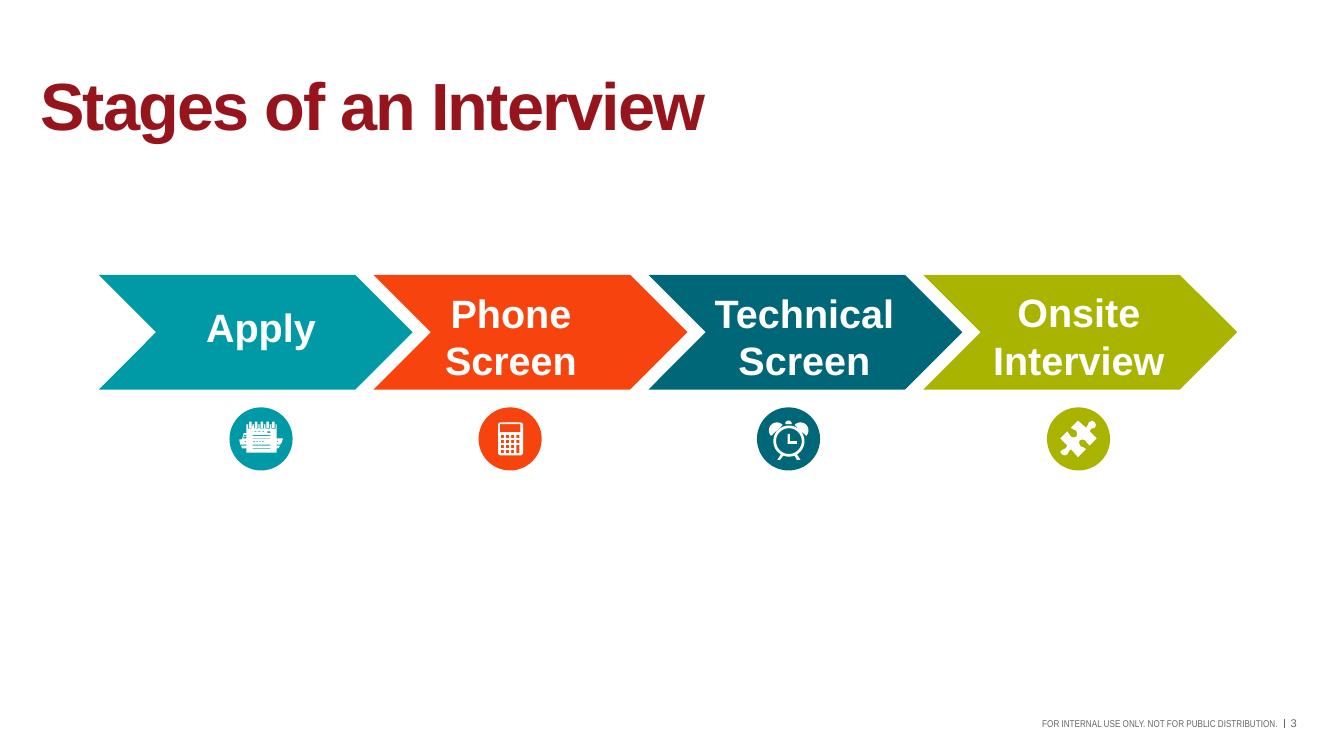
from dataclasses import dataclass
from math import cos, radians, sin

from lxml import etree
from pptx import Presentation
from pptx.dml.color import RGBColor
from pptx.enum.shapes import MSO_CONNECTOR, MSO_SHAPE
from pptx.enum.text import MSO_ANCHOR, MSO_AUTO_SIZE, PP_ALIGN
from pptx.oxml.ns import qn
from pptx.util import Pt

CHEVRON, OVAL = MSO_SHAPE.CHEVRON, MSO_SHAPE.OVAL
STRAIGHT = MSO_CONNECTOR.STRAIGHT
LEFT, CENTER, RIGHT = PP_ALIGN.LEFT, PP_ALIGN.CENTER, PP_ALIGN.RIGHT
TOP, MIDDLE, BOTTOM = MSO_ANCHOR.TOP, MSO_ANCHOR.MIDDLE, MSO_ANCHOR.BOTTOM
NO_AUTOFIT = MSO_AUTO_SIZE.NONE
EMU_PER_PX = 9144
WHITE, GRAY, MAROON = "FFFFFF", "666666", "96151D"
CHEVRON_LEFT, CHEVRON_TOP, CHEVRON_PITCH = 111, 309, 309
CHEVRON_WIDTH, CHEVRON_HEIGHT = 353, 129
BADGE_TOP, BADGE_SIZE = 458, 71

Points = list[tuple[float, float]]
Icon = list[Points]


@dataclass
class Stage:
    label: str
    color: str
    label_box: tuple[int, int, int, int]
    badge_left: int
    icons: list[Icon]


def px(value: float) -> int:
    return round(value * EMU_PER_PX)


def rgb(color: str) -> RGBColor:
    return RGBColor.from_string(color)


def rect(x: float, y: float, w: float, h: float) -> Points:
    return [(x, y), (x + w, y), (x + w, y + h), (x, y + h)]


def arc(cx: float, cy: float, radius: float, start: int, end: int) -> Points:
    steps = max(4, (end - start) // 8)
    angles = [radians(start + (end - start) * i / steps) for i in range(steps + 1)]
    return [(cx + radius * cos(a), cy + radius * sin(a)) for a in angles]


def notepad() -> Icon:
    rings = [279 + 6.5 * i for i in range(5)]
    return [
        rect(277, 477, 34, 32),
        *[rect(284, 485 + 3.6 * i, 20, 1.8) for i in range(6)],
        *[rect(x, 477, 5, 5) for x in rings],
        *[rect(x + 1.1, 474, 2.8, 7) for x in rings],
    ]


def ship() -> Icon:
    hull = [(287, 479), (288, 479), (288, 482), (299, 482), (301, 487), (305, 487),
            (310, 493), (318, 493), (317, 497), (315, 500), (270, 500), (269, 494),
            (272, 494), (274, 487), (279, 487), (280, 482), (283, 482), (283, 479),
            (285, 479), (285, 482), (286, 482)]
    portholes = [275 + 3.3 * i for i in range(12) if i not in (7, 8)]
    return [
        hull,
        [(271, 501), (315, 501), (313, 504), (272, 504)],
        [(274, 491), (307, 491), (308, 493), (273, 493)],
        rect(274, 489, 31, 1),
        *[rect(x, 496, 1.5, 1) for x in portholes],
        *[rect(282 + 4.3 * i, 484, 2, 2) for i in range(4)],
    ]


def calculator() -> Icon:
    body = [*arc(563, 478, 3, 180, 270), *arc(585, 478, 3, 270, 360),
            *arc(585, 509, 3, 0, 90), *arc(563, 509, 3, 90, 180)]
    keys = [rect(563 + 5.8 * col, 489 + 5.6 * row, 3.5, 3.7)
            for row in range(4) for col in range(4 if row < 2 else 3)]
    return [body, rect(562, 477, 23, 9), *keys, rect(580.4, 500.2, 3.5, 9.3)]


def alarm_clock() -> Icon:
    case = [*arc(887, 496, 17.5, 121, 419), (900, 517), (896, 517),
            *arc(887, 496, 17.5, 69, 111), (877, 517), (874, 517)]
    hands = [(885.5, 488), (888, 488), (888, 496), (896, 496), (896, 499), (885.5, 499)]
    return [
        case,
        arc(887, 496, 14.5, 0, 360),
        hands,
        arc(873.5, 484, 9, 137, 317),
        arc(900, 484, 9, 223, 403),
        [(883, 477), (883, 475), (885, 473), (888, 473), (890, 475), (890, 477)],
    ]


def puzzle() -> Icon:
    return [[
        (1231, 475), (1232, 478), (1231, 481), (1227, 482), (1225, 485), (1233, 493),
        (1225, 501), (1222, 498), (1220, 495), (1217, 494), (1214, 495), (1213, 498),
        (1215, 502), (1218, 503), (1221, 505), (1212, 514), (1204, 505), (1202, 507),
        (1200, 511), (1197, 512), (1194, 511), (1192, 508), (1194, 506), (1198, 504),
        (1200, 501), (1192, 493), (1200, 485), (1202, 488), (1204, 491), (1207, 492),
        (1210, 491), (1211, 488), (1210, 484), (1207, 483), (1204, 481), (1212, 473),
        (1221, 481), (1223, 478), (1224, 475), (1228, 473),
    ]]


STAGES = [
    Stage("Apply", "009AA6", (200, 336, 187, 64), 258, [notepad(), ship()]),
    Stage("Phone Screen", "F7440E", (464, 320, 221, 118), 538, [calculator()]),
    Stage("Technical Screen", "006778", (741, 320, 327, 118), 851, [alarm_clock()]),
    Stage("Onsite Interview", "A8B400", (1070, 319, 286, 118), 1177, [puzzle()]),
]


def paint(s, color: str) -> None:
    s.shadow.inherit = False
    s.fill.solid()
    s.fill.fore_color.rgb = rgb(color)
    s.line.fill.background()


def add_shape(shapes, kind, x: int, y: int, w: int, h: int, color: str) -> None:
    paint(shapes.add_shape(kind, px(x), px(y), px(w), px(h)), color)


def add_icon(shapes, icon: Icon) -> None:
    contours = [[(px(x), px(y)) for x, y in points] for points in icon]
    builder = shapes.build_freeform(*contours[0][0])
    for i, points in enumerate(contours):
        if i:
            builder.move_to(*points[0])
        builder.add_line_segments(points[1:], close=True)
    paint(builder.convert_to_shape(), WHITE)


def write(tf, text: str, *, size: int, color: str, font: str = "Arial", bold: bool = False,
          align=LEFT, anchor=TOP, wrap: bool = True, inset: bool = True,
          line_spacing: float = 1.0, tracking: int = 0) -> None:
    tf.auto_size = NO_AUTOFIT
    tf.word_wrap = wrap
    tf.vertical_anchor = anchor
    tf.margin_left = tf.margin_right = px(10 if inset else 0)
    tf.margin_top = tf.margin_bottom = px(5 if inset else 0)
    p = tf.paragraphs[0]
    p.alignment = align
    p.line_spacing = line_spacing
    p.space_before = Pt(0)
    r = p.add_run()
    r.text = text
    r.font.name, r.font.size, r.font.bold = font, Pt(size), bold
    r.font.color.rgb = rgb(color)
    if tracking:
        r._r.get_or_add_rPr().set("spc", str(tracking))


def add_text(shapes, box: tuple[int, int, int, int], text: str, **style) -> None:
    write(shapes.add_textbox(*map(px, box)).text_frame, text, **style)


def add_footer(shapes) -> None:
    add_text(shapes, (935, 807, 502, 13), "FOR INTERNAL USE ONLY. NOT FOR PUBLIC DISTRIBUTION.",
             size=8, color=GRAY, font="Arial Narrow", align=RIGHT, anchor=MIDDLE, inset=False)
    divider = shapes.add_connector(STRAIGHT, px(1444), px(808), px(1444), px(818))
    divider.line.color.rgb = rgb(GRAY)
    divider.line.width = Pt(0.5)
    etree.SubElement(divider._element.spPr, qn("a:effectLst"))
    add_text(shapes, (1451, 806, 15, 15), "3", size=9, color=GRAY, anchor=BOTTOM,
             wrap=False, inset=False)


def main() -> None:
    prs = Presentation()
    prs.slide_width, prs.slide_height = px(1511), px(850)
    shapes = prs.slides.add_slide(prs.slide_layouts[5]).shapes
    title = shapes.title
    title.left, title.top, title.width, title.height = map(px, (35, 6, 809, 239))
    write(title.text_frame, "Stages of an Interview", size=54, color=MAROON, bold=True,
          anchor=MIDDLE, line_spacing=0.8, tracking=-150)
    add_footer(shapes)
    for i, stage in enumerate(STAGES):
        add_shape(shapes, CHEVRON, CHEVRON_LEFT + i * CHEVRON_PITCH, CHEVRON_TOP,
                  CHEVRON_WIDTH, CHEVRON_HEIGHT, stage.color)
        add_text(shapes, stage.label_box, stage.label, size=32, color=WHITE, bold=True,
                 align=CENTER)
        add_shape(shapes, OVAL, stage.badge_left, BADGE_TOP, BADGE_SIZE, BADGE_SIZE, stage.color)
        for icon in stage.icons:
            add_icon(shapes, icon)
    prs.save("out.pptx")


if __name__ == "__main__":
    main()
